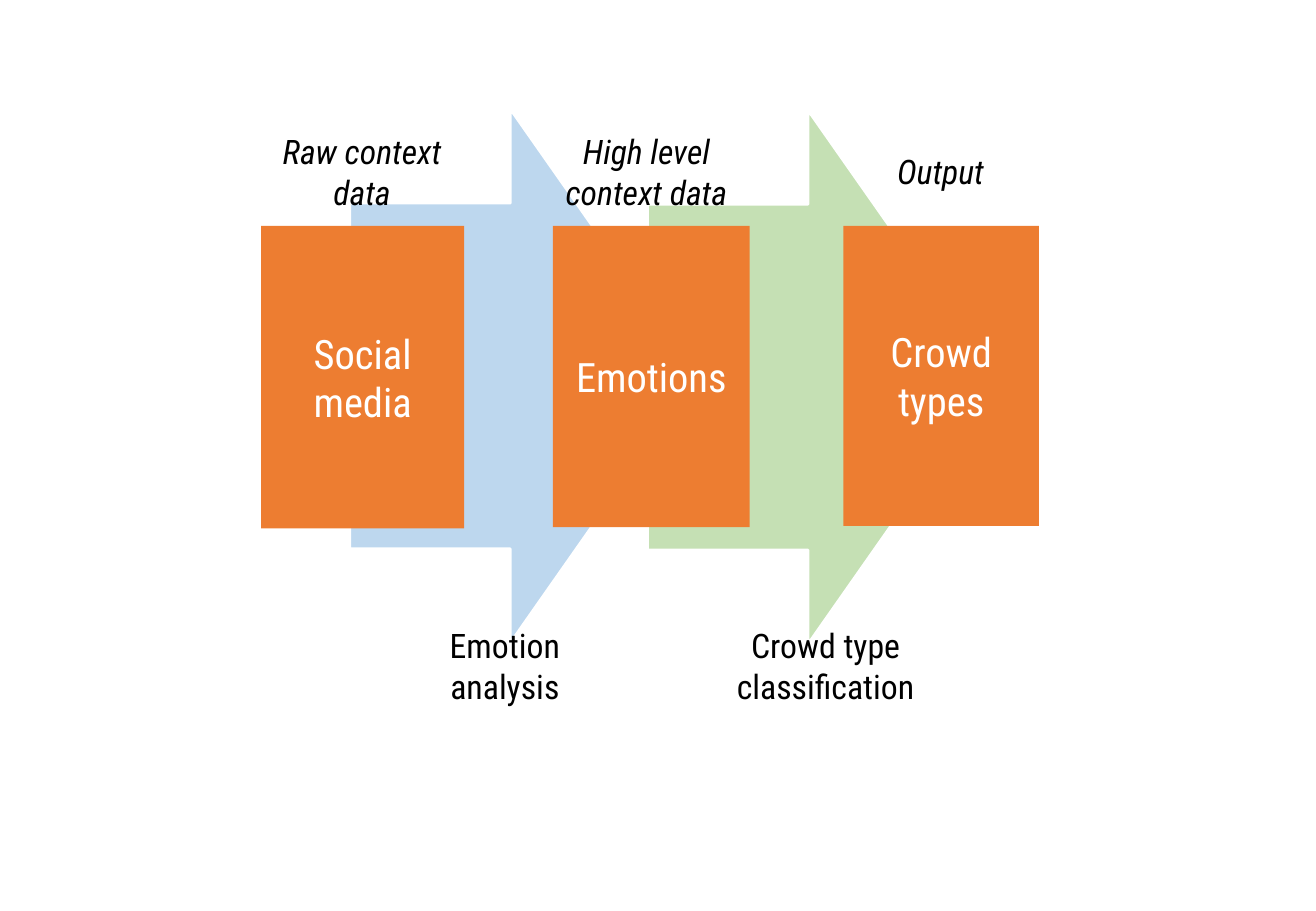
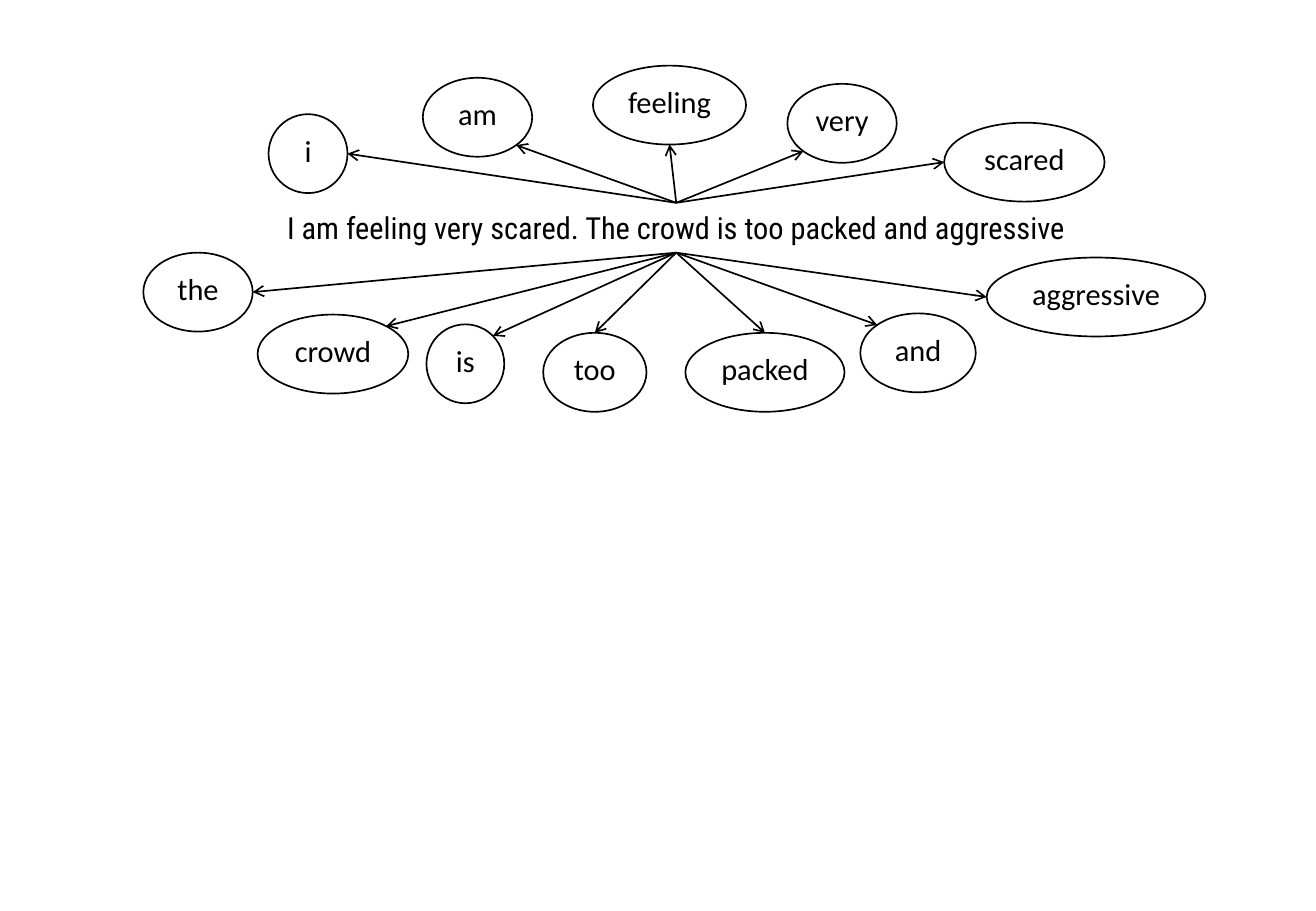
from dataclasses import dataclass
from math import hypot

from pptx import Presentation, util as u
from pptx.dml.color import RGBColor
from pptx.enum import shapes, text
from pptx.oxml.ns import qn
from lxml import etree


@dataclass(frozen=True)
class Theme:
    black: str = "000000"
    white: str = "FFFFFF"
    box: str = "ED7D31"
    blue: str = "BDD7EE"
    green: str = "C5E0B4"
    head: str = "Roboto Condensed"
    body: str = "Calibri"
    big: int = 24
    label: int = 20
    small: int = 18


T = Theme()
WIDTH, HEIGHT = 10.83, 7.5

# Content, slide 1: stages and the steps between them (left, width in inches)
BOX_TOP, CAPTION_TOP, STEP_TOP, LABEL_H = 1.86, 1.15, 5.22, 0.52
STAGES = [  # name, left, width, height, caption, caption left, caption width
    ("Social media", 2.15, 1.67, 2.49, "Raw context data", 2.15, 1.66),
    ("Emotions", 4.55, 1.62, 2.48, "High level context data", 4.46, 1.72),
    ("Crowd types", 6.94, 1.61, 2.47, "Output", 7.22, 1.04),
]
ARROW_W, ARROW_H, ARROW_ADJ = 2.86, 4.39, (0.648, 0.538)
STEPS = [  # name, label left, label width, arrow left, arrow top, colour
    ("Crowd type classification", 5.33, 2.93, 5.33, 0.91, T.green),
    ("Emotion analysis", 3.13, 2.05, 2.88, 0.90, T.blue),
]

# Content, slide 2: a sentence and its words
SENTENCE = "I am feeling very scared. The crowd is too packed and aggressive"
SENTENCE_BOX = (2.14, 1.67, 6.85, 0.41)
WORD_H = 0.65
WORDS_ABOVE = [  # word, left, top, width, side the arrow reaches (x, y)
    ("i", 2.21, 0.94, 0.65, (1, 0)),
    ("am", 3.48, 0.64, 0.90, (1, 1)),
    ("feeling", 4.88, 0.54, 1.26, (0, 1)),
    ("very", 6.48, 0.69, 0.90, (-1, 1)),
    ("scared", 7.77, 1.01, 1.32, (-1, 0)),
]
WORDS_BELOW = [
    ("the", 1.18, 2.08, 0.90, (1, 0)),
    ("crowd", 2.12, 2.59, 1.24, (1, -1)),
    ("is", 3.51, 2.67, 0.64, (1, -1)),
    ("too", 4.47, 2.74, 0.85, (0, -1)),
    ("packed", 5.64, 2.74, 1.31, (0, -1)),
    ("and", 7.08, 2.58, 0.95, (-1, -1)),
    ("aggressive", 8.12, 2.12, 1.80, (-1, 0)),
]


def inches(*values):
    return [u.Inches(v) for v in values]


def put_text(sp, words, size, font=T.head, color=T.black, italic=False,
             anchor=text.MSO_ANCHOR.MIDDLE, wrap=True, inset=0.1):
    tf = sp.text_frame
    tf.word_wrap = wrap
    tf.vertical_anchor = anchor
    tf.margin_left = tf.margin_right = u.Inches(inset)
    p = tf.paragraphs[0]
    p.alignment = text.PP_ALIGN.CENTER
    r = p.add_run()
    r.text = words
    r.font.size, r.font.name, r.font.italic = u.Pt(size), font, italic
    r.font.color.rgb = RGBColor.from_string(color)


def add_shape(s, kind, at, fill, line=None, weight=1):
    sp = s.shapes.add_shape(kind, *inches(*at))
    sp.shadow.inherit = False
    sp.fill.solid()
    sp.fill.fore_color.rgb = RGBColor.from_string(fill)
    if line:
        sp.line.color.rgb = RGBColor.from_string(line)
        sp.line.width = u.Pt(weight)
    else:
        sp.line.fill.background()
    return sp


def add_label(s, words, at, size=T.label, **fmt):
    put_text(s.shapes.add_textbox(*inches(*at)), words, size, **fmt)


def add_arrow(s, start, end):
    cx = s.shapes.add_connector(shapes.MSO_CONNECTOR.STRAIGHT,
                                *inches(*start, *end))
    cx.line.color.rgb = RGBColor.from_string(T.black)
    cx.line.width = u.Pt(1)
    etree.SubElement(cx.line._get_or_add_ln(), qn("a:tailEnd"), type="arrow")
    etree.SubElement(cx._element.spPr, qn("a:effectLst"))


def build_pipeline(s):
    # Block arrows lie behind the stages
    for _, _, _, left, top, color in STEPS:
        sp = add_shape(s, shapes.MSO_SHAPE.RIGHT_ARROW,
                       (left, top, ARROW_W, ARROW_H), color, T.white, 1.5)
        for i, adj in enumerate(ARROW_ADJ):
            sp.adjustments[i] = adj
    # Stages with captions above
    for name, left, width, height, caption, cap_left, cap_w in STAGES:
        sp = add_shape(s, shapes.MSO_SHAPE.RECTANGLE,
                       (left, BOX_TOP, width, height), T.box)
        put_text(sp, name, T.big, color=T.white)
        add_label(s, caption, (cap_left, CAPTION_TOP, cap_w, LABEL_H),
                  italic=True, inset=0.12)
    # Step names below
    for name, left, width, *_ in STEPS:
        add_label(s, name, (left, STEP_TOP, width, LABEL_H), inset=0.12)


def build_words(s):
    left, top, width, height = SENTENCE_BOX
    add_label(s, SENTENCE, SENTENCE_BOX, size=T.small,
              anchor=text.MSO_ANCHOR.TOP)
    middle = left + width / 2
    for words, start_y in ((WORDS_ABOVE, top), (WORDS_BELOW, top + height)):
        for word, x, y, w, (dx, dy) in words:
            sp = add_shape(s, shapes.MSO_SHAPE.OVAL, (x, y, w, WORD_H),
                           T.white, T.black)
            put_text(sp, word, T.small, font=T.body, wrap=False,
                     anchor=text.MSO_ANCHOR.TOP)
            # The arrow ends on the rim of the ellipse
            reach = hypot(dx, dy)
            end = (x + w / 2 * (1 + dx / reach),
                   y + WORD_H / 2 * (1 + dy / reach))
            add_arrow(s, (middle, start_y), end)


prs = Presentation()
prs.slide_width, prs.slide_height = inches(WIDTH, HEIGHT)
blank = prs.slide_layouts[6]
for build in (build_pipeline, build_words):
    build(prs.slides.add_slide(blank))
prs.save("out.pptx")
